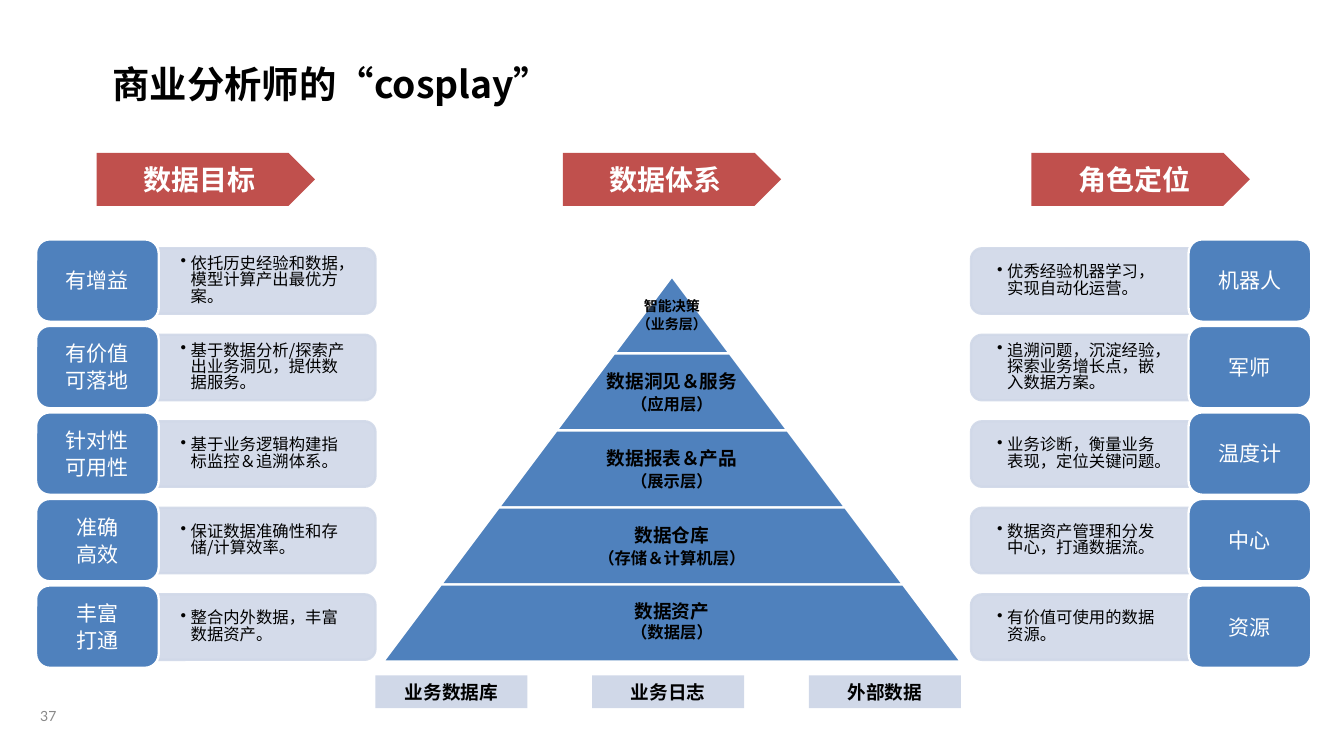
from dataclasses import dataclass
from lxml.etree import SubElement
from pptx import Presentation
from pptx.dml.color import RGBColor
from pptx.enum.shapes import MSO_SHAPE
from pptx.enum.text import MSO_ANCHOR, PP_ALIGN
from pptx.oxml.ns import qn
from pptx.util import Inches, Pt


@dataclass(frozen=True)
class Theme:
    font: str = "Noto Sans CJK SC"
    digits: str = "Lato"
    blue: str = "4F81BD"
    pale: str = "D0D8E8"
    red: str = "C0504D"
    white: str = "FFFFFF"
    black: str = "000000"
    gray: str = "898989"
    title: int = 32
    head: int = 24
    tab: int = 18
    layer: int = 16
    note: int = 14
    small: int = 12


T = Theme()

HEADS = [(1.15, "数据目标"), (6.7, "数据体系"), (12.28, "角色定位")]
GOALS = [
    (["有增益"], "依托历史经验和数据，模型计算产出最优方案。"),
    (["有价值", "可落地"], "基于数据分析/探索产出业务洞见，提供数据服务。"),
    (["针对性", "可用性"], "基于业务逻辑构建指标监控＆追溯体系。"),
    (["准确", "高效"], "保证数据准确性和存储/计算效率。"),
    (["丰富", "打通"], "整合内外数据，丰富数据资产。"),
]
ROLES = [
    (["机器人"], "优秀经验机器学习，实现自动化运营。"),
    (["军师"], "追溯问题，沉淀经验，探索业务增长点，嵌入数据方案。"),
    (["温度计"], "业务诊断，衡量业务表现，定位关键问题。"),
    (["中心"], "数据资产管理和分发中心，打通数据流。"),
    (["资源"], "有价值可使用的数据资源。"),
]
# Layer name, its level, type sizes, line spacing, space after
LAYERS = [
    ("智能决策", "（业务层）", T.small, T.small, 1, 1.5),
    ("数据洞见＆服务", "（应用层）", T.layer, T.note, 1, 2),
    ("数据报表＆产品", "（展示层）", T.layer, T.note, 1, 2),
    ("数据仓库", "（存储＆计算机层）", T.layer, T.note, 1, 2),
    ("数据资产", "（数据层）", T.layer, T.note, 0.8, 3),
]
SOURCES = ["业务数据库", "业务日志", "外部数据"]


def rgb(code):
    return RGBColor.from_string(code)


def place(box):
    return [Inches(value) for value in box]


def shape(slide, kind, box, fill, line=None):
    item = slide.shapes.add_shape(kind, *place(box))
    item.shadow.inherit = False
    item.fill.solid()
    item.fill.fore_color.rgb = rgb(fill)
    if line:
        item.line.color.rgb = rgb(line)
        item.line.width = Pt(2)
    else:
        item.line.fill.background()
    return item


def setup(item, inset=(0.1, 0.05), anchor=MSO_ANCHOR.MIDDLE):
    """Set the wrap, margins and anchor of a text frame."""
    frame = item.text_frame
    frame.word_wrap = True
    frame.vertical_anchor = anchor
    frame.margin_left = frame.margin_right = Inches(inset[0])
    frame.margin_top = frame.margin_bottom = Inches(inset[1])
    return frame


def add_run(para, text, size, color, bold=False, face=T.font):
    run = para.add_run()
    run.text = text
    run.font.size = Pt(size)
    run.font.bold = bold
    run.font.color.rgb = rgb(color)
    run.font.name = face
    SubElement(run._r.get_or_add_rPr(), qn("a:ea"), typeface=face)


def write(frame, lines, color, bold=False, align=PP_ALIGN.CENTER,
          pitch=None, after=0, face=T.font):
    """Add one paragraph for each (text, size) pair."""
    for index, (text, size) in enumerate(lines):
        para = frame.add_paragraph() if index else frame.paragraphs[0]
        para.alignment = align
        para.space_before = Pt(0)
        para.space_after = Pt(after)
        if pitch:
            para.line_spacing = pitch
        add_run(para, text, size, color, bold, face)


def text_box(slide, box, inset):
    return setup(slide.shapes.add_textbox(*place(box)), inset)


def bullet(para):
    props = para._p.get_or_add_pPr()
    props.set("marL", str(Inches(0.12)))
    props.set("indent", str(Inches(-0.12)))
    SubElement(props, qn("a:buChar"), char="•")


def fade(item, share):
    """Make fill and line opaque to the given percentage."""
    for color in item._element.spPr.iter(qn("a:srgbClr")):
        SubElement(color, qn("a:alpha"), val=str(share * 1000))


def card(slide, top, tab, note, turn, names, text):
    """Draw a blue tab beside a pale card, whose round end is set by turn."""
    width, height = 0.78, 2.59
    left = note + (2.55 - width) / 2 + (0.02 if turn == 90 else -0.02)
    panel = shape(slide, MSO_SHAPE.ROUND_2_SAME_RECTANGLE,
                  (left, top - 0.8, width, height), T.pale, T.pale)
    panel.rotation = turn
    fade(panel, 90)
    frame = text_box(slide, (note, top + 0.14, 2.55, 0.71), (0.27, 0.14))
    bullet(frame.paragraphs[0])
    write(frame, [(text, T.note)], T.black, align=PP_ALIGN.LEFT, pitch=0.83)
    label = shape(slide, MSO_SHAPE.ROUNDED_RECTANGLE,
                  (tab, top, 1.46, 0.98), T.blue, T.white)
    write(setup(label, (0.07, 0.04)), [(name, T.tab) for name in names],
          T.white, after=1.5)


def column(slide, rows, tab, note, turn):
    for index, (names, text) in enumerate(rows):
        card(slide, 2.85 + 1.03 * index, tab, note, turn, names, text)


def pyramid(slide):
    height, slope = 0.917, 0.75
    for index, (name, level, big, less, pitch, after) in enumerate(LAYERS):
        width = 2 * slope * height * (index + 1)
        box = (8 - width / 2, 3.29 + height * index, width, height)
        layer = shape(slide, MSO_SHAPE.TRAPEZOID, box, T.blue, T.white)
        layer.adjustments[0] = slope
        write(text_box(slide, box, (0.02, 0.02)), [(name, big), (level, less)],
              T.black, True, pitch=pitch, after=after)


def plate(slide, kind, box, fill, text, size, color):
    item = shape(slide, kind, box, fill)
    write(setup(item), [(text, size)], color, True)


def heading(slide, text):
    title = slide.shapes.title
    title.left, title.top, title.width, title.height = place(
        (1.24, 0.68, 7.13, 0.64))
    write(setup(title, anchor=MSO_ANCHOR.TOP), [(text, T.title)], T.black,
          True, PP_ALIGN.LEFT)


def main():
    deck = Presentation()
    deck.slide_width, deck.slide_height = Inches(16), Inches(9)
    slide = deck.slides.add_slide(deck.slide_layouts[5])
    heading(slide, "商业分析师的“cosplay”")
    pyramid(slide)
    column(slide, GOALS, 0.43, 1.88, 90)
    column(slide, ROLES, 14.15, 11.6, 270)
    for left, text in HEADS:
        plate(slide, MSO_SHAPE.PENTAGON, (left, 1.82, 2.6, 0.63),
              T.red, text, T.head, T.white)
    for index, text in enumerate(SOURCES):
        plate(slide, MSO_SHAPE.RECTANGLE, (4.47 + 2.58 * index, 8.04, 1.81, 0.39),
              T.pale, text, T.layer, T.black)
    number = text_box(slide, (0.2, 8.28, 0.75, 0.48), (0.08, 0.04))
    write(number, [("37", T.small)], T.gray, face=T.digits)
    deck.save("out.pptx")


if __name__ == "__main__":
    main()
